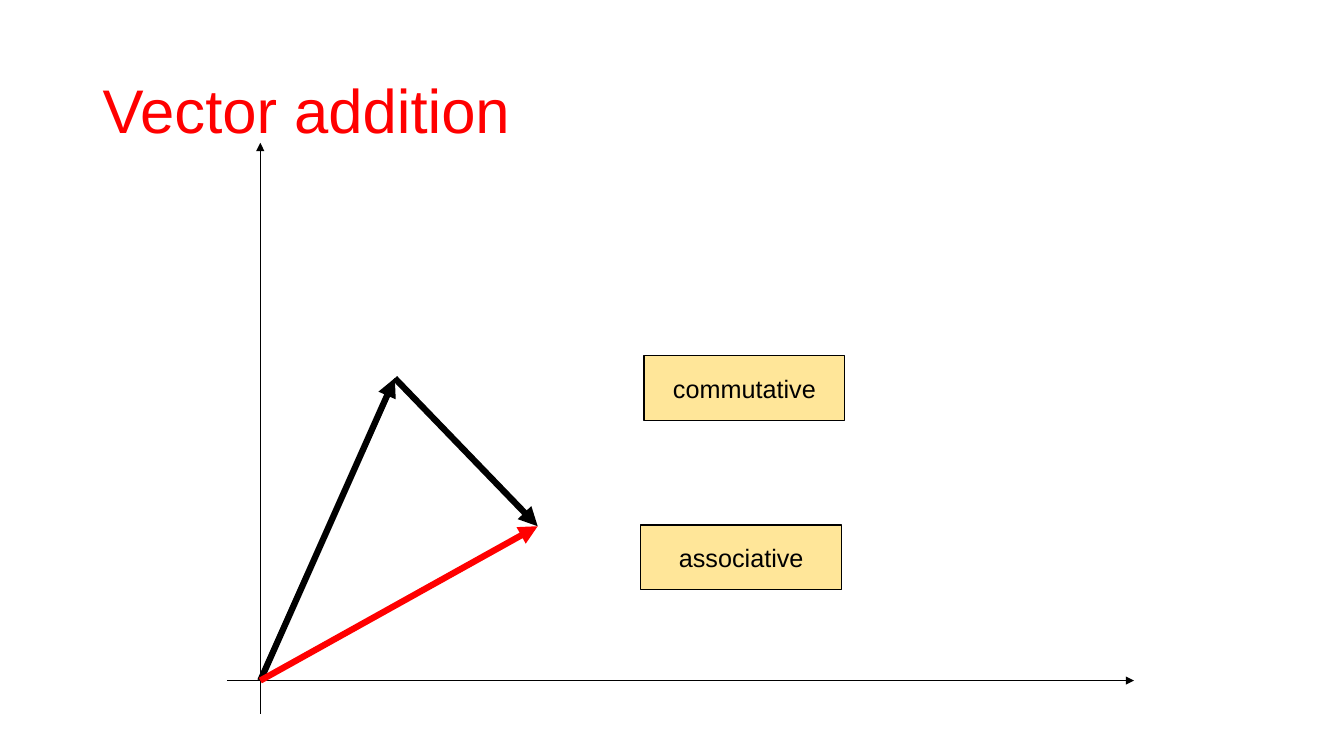
from dataclasses import dataclass

from lxml import etree
from pptx import Presentation
from pptx.dml.color import RGBColor
from pptx.enum.shapes import MSO_CONNECTOR, MSO_SHAPE
from pptx.enum.text import MSO_ANCHOR, MSO_AUTO_SIZE, PP_ALIGN
from pptx.oxml.ns import qn
from pptx.util import Cm, Pt

STRAIGHT = MSO_CONNECTOR.STRAIGHT
RECTANGLE = MSO_SHAPE.RECTANGLE
MIDDLE = MSO_ANCHOR.MIDDLE
NO_AUTOFIT = MSO_AUTO_SIZE.NONE
LEFT, CENTER = PP_ALIGN.LEFT, PP_ALIGN.CENTER


@dataclass(frozen=True)
class Theme:
    font: str = "Arial"
    black: RGBColor = RGBColor(0, 0, 0)
    red: RGBColor = RGBColor(255, 0, 0)
    label_fill: RGBColor = RGBColor(255, 230, 153)
    title_size: Pt = Pt(44)
    label_size: Pt = Pt(18)
    thin: Pt = Pt(0.75)
    thick: Pt = Pt(4.5)


THEME = Theme()

# Content; all lengths in centimetres
TITLE = "Vector addition"
TITLE_BOX = (2.33, 1.01, 29.21, 3.68)
ORIGIN = (6.56, 17.15)
FIRST_TIP = (9.95, 9.53)
SUM_TIP = (13.55, 13.26)
AXES = [
    ((ORIGIN[0], 17.99), (ORIGIN[0], 3.6)),
    ((5.72, ORIGIN[1]), (28.58, ORIGIN[1])),
]
VECTORS = [
    (ORIGIN, FIRST_TIP, THEME.black),
    (FIRST_TIP, SUM_TIP, THEME.black),
    (ORIGIN, SUM_TIP, THEME.red),
]
LABEL_SIZE = (5.06, 1.63)
LABELS = [("commutative", (16.23, 8.97)), ("associative", (16.15, 13.23))]


def style_text(frame, text, size, color, alignment):
    frame.text = text
    frame.vertical_anchor = MIDDLE
    para = frame.paragraphs[0]
    para.alignment = alignment
    para.font.name = THEME.font
    para.font.size = size
    para.font.color.rgb = color
    return para


def add_title(page):
    title = page.shapes.title
    title.left, title.top, title.width, title.height = map(Cm, TITLE_BOX)
    para = style_text(title.text_frame, TITLE, THEME.title_size, THEME.red, LEFT)
    para.line_spacing = 0.9
    title.text_frame.auto_size = NO_AUTOFIT


def add_arrow(page, start, end, color, width):
    arrow = page.shapes.add_connector(STRAIGHT, *map(Cm, start + end))
    arrow.line.color.rgb = color
    arrow.line.width = width
    properties = arrow.line._get_or_add_ln()
    etree.SubElement(properties, qn("a:tailEnd"), type="triangle")
    etree.SubElement(arrow._element.spPr, qn("a:effectLst"))


def add_label(page, text, position):
    box = page.shapes.add_shape(RECTANGLE, *map(Cm, position + LABEL_SIZE))
    box.shadow.inherit = False
    box.fill.solid()
    box.fill.fore_color.rgb = THEME.label_fill
    box.line.color.rgb = THEME.black
    box.line.width = THEME.thin
    style_text(box.text_frame, text, THEME.label_size, THEME.black, CENTER)
    box.text_frame.word_wrap = False


def main():
    deck = Presentation()
    deck.slide_width, deck.slide_height = Cm(33.87), Cm(19.05)
    page = deck.slides.add_slide(deck.slide_layouts.get_by_name("Title Only"))
    add_title(page)
    for start, end in AXES:
        add_arrow(page, start, end, THEME.black, THEME.thin)
    for start, end, color in VECTORS:
        add_arrow(page, start, end, color, THEME.thick)
    for text, position in LABELS:
        add_label(page, text, position)
    deck.save("out.pptx")


if __name__ == "__main__":
    main()
